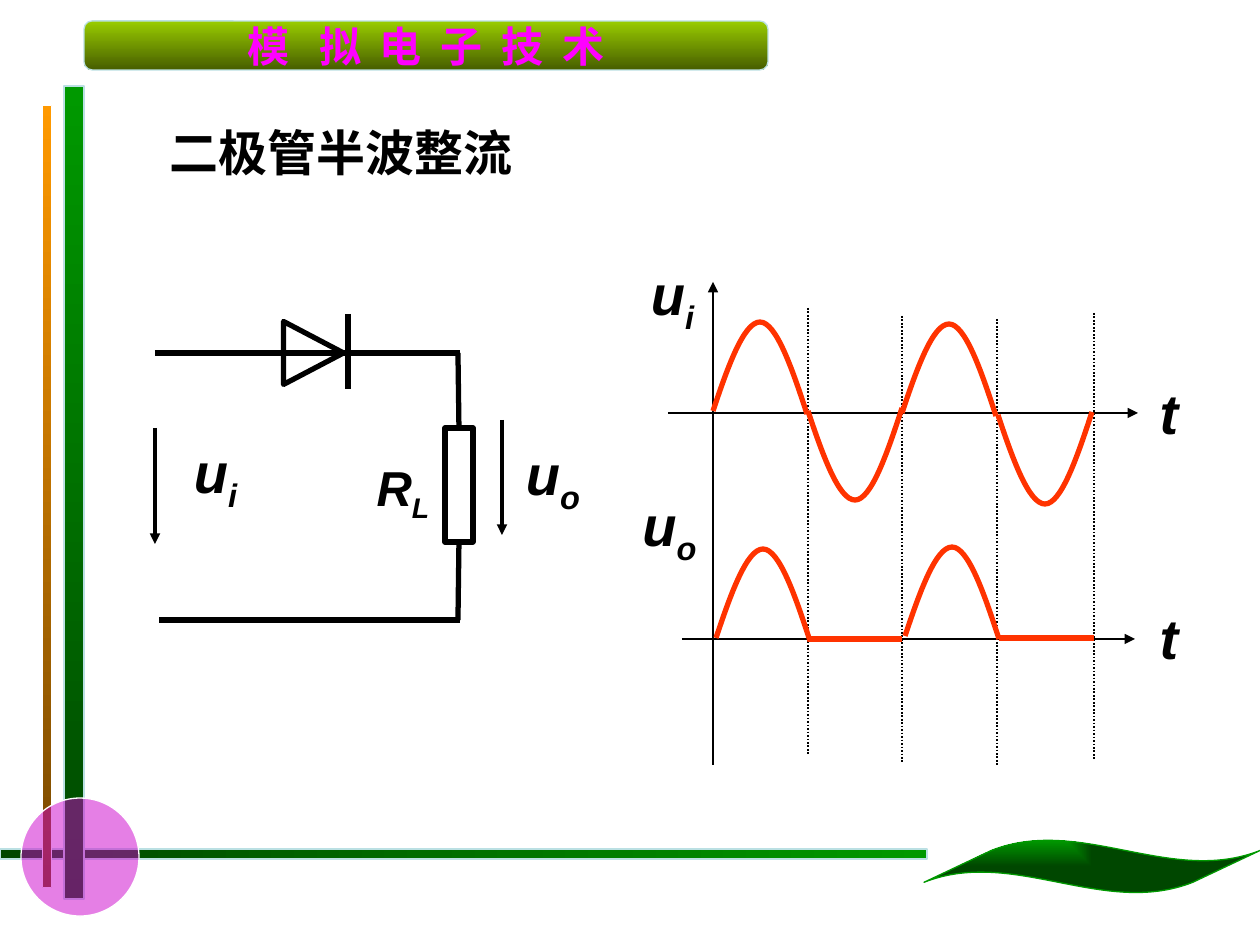
"""Build the slide on half-wave rectification with a diode."""
from dataclasses import dataclass
from typing import Any, Optional

from lxml import etree
from pptx import Presentation
from pptx.dml.color import RGBColor
from pptx.enum.dml import MSO_LINE
from pptx.enum.shapes import MSO_CONNECTOR, MSO_SHAPE
from pptx.enum.text import MSO_ANCHOR, PP_ALIGN
from pptx.oxml.ns import qn
from pptx.util import Emu, Pt

RECT = MSO_SHAPE.RECTANGLE
OVAL = MSO_SHAPE.OVAL
BANNER = MSO_SHAPE.FLOWCHART_ALTERNATE_PROCESS
WAVE = MSO_SHAPE.WAVE
TRIANGLE = MSO_SHAPE.ISOSCELES_TRIANGLE
STRAIGHT = MSO_CONNECTOR.STRAIGHT
DOTTED = MSO_LINE.ROUND_DOT
CENTER = PP_ALIGN.CENTER
MIDDLE = MSO_ANCHOR.MIDDLE

SCALE = 914400 / 126
LATIN, CJK = "Arial", "Noto Sans CJK SC"
COLORS = {
    "black": "000000", "white": "FFFFFF", "pale": "BBE0E3", "curve": "FF3300",
    "green": "009900", "dark_green": "004700", "orange": "FF9900", "brown": "764700",
    "lime": "99CC00", "olive": "475E00", "purple": "CC00CC", "magenta": "FF00FF",
}
HUMP = [(15, -45), (31, -89), (47, -89), (63, -89), (79, -43), (94, 3)]


@dataclass(frozen=True)
class Panel:
    kind: Any
    box: tuple[int, int, int, int]
    line: str
    weight: float = 0.75
    stops: tuple[str, ...] = ()
    angle: int = 0


@dataclass(frozen=True)
class Stroke:
    start: tuple[int, int]
    end: tuple[int, int]
    weight: float = 3
    color: str = "black"
    arrow: bool = False
    dash: Any = None


@dataclass(frozen=True)
class Label:
    box: tuple[int, int, int, int]
    text: str
    sub: str = ""
    size: int = 32
    italic: bool = True


BARS = [
    Panel(RECT, (0, 849, 927, 10), "pale", stops=("dark_green", "green")),
    Panel(RECT, (64, 86, 20, 813), "pale", stops=("green", "dark_green"), angle=270),
    Panel(RECT, (42, 105, 10, 783), "white", 0.5, ("orange", "brown"), 270),
]
DISC = Panel(OVAL, (21, 798, 118, 118), "white", stops=("purple",))
HEADER = Panel(BANNER, (84, 21, 684, 49), "pale", stops=("lime", "olive"), angle=270)
LEAF = Panel(WAVE, (924, 840, 336, 53), "green", stops=("green", "dark_green"))
DIODE = Panel(TRIANGLE, (282, 323, 63, 60), "black", 3)
RESISTOR = Panel(RECT, (445, 428, 28, 114), "black", 3)

WIRES = [
    Stroke((155, 353), (300, 353)),
    Stroke((392, 353), (460, 353)),
    Stroke((348, 314), (348, 389)),
    Stroke((392, 353), (232, 353)),
    Stroke((460, 620), (159, 620)),
]
LEADS = [
    (Stroke((458, 353), (458, 428)), 0),
    (Stroke((458, 620), (458, 542)), 2),
]
ARROWS = [
    Stroke((155, 428), (155, 544), 2, arrow=True),
    Stroke((502, 420), (502, 535), 2, arrow=True),
    Stroke((713, 765), (713, 282), 1.5, arrow=True),
    Stroke((668, 413), (1138, 413), 1.5, arrow=True),
    Stroke((682, 639), (1135, 639), 1.5, arrow=True),
]
GUIDES = [
    Stroke((x, top), (x, top + 446), 1, dash=DOTTED)
    for x, top in [(808, 308), (902, 316), (997, 319), (1094, 313)]
]
FLATS = [
    Stroke((808, 639), (902, 639), color="curve"),
    Stroke((999, 638), (1094, 638), color="curve"),
]
HUMPS = [
    (713, 411, 1), (902, 413, 1), (808, 411, -1), (998, 415, -1),
    (905, 636, 1), (716, 638, 1),
]
LABELS = [
    Label((348, 451, 110, 72), "R", "L", 28),
    Label((159, 431, 113, 79), "u", "i"),
    Label((504, 433, 98, 79), "u", "o"),
    Label((624, 253, 97, 79), "u", "i"),
    Label((626, 484, 87, 79), "u", "o"),
    Label((1140, 372, 58, 79), "t"),
    Label((1140, 597, 58, 79), "t"),
    Label((84, 116, 514, 72), "二极管半波整流", size=28, italic=False),
]
TITLE = [("模", 1700), ("拟电子技", 1080), ("术", 0)]


def px(value: float) -> Emu:
    """Turn px into EMU."""
    return Emu(round(value * SCALE))


def rgb(name: str) -> RGBColor:
    """Look up a named colour."""
    return RGBColor.from_string(COLORS[name])


def set_line(line: Any, color: str, weight: float) -> None:
    """Give a line its colour and width."""
    line.color.rgb = rgb(color)
    line.width = Pt(weight)


def draw_panel(slide: Any, panel: Panel) -> Any:
    """Draw a preset shape with no fill, a solid fill or a gradient."""
    shape = slide.shapes.add_shape(panel.kind, *map(px, panel.box))
    shape.shadow.inherit = False
    set_line(shape.line, panel.line, panel.weight)
    if not panel.stops:
        shape.fill.background()
    elif len(panel.stops) == 1:
        shape.fill.solid()
        shape.fill.fore_color.rgb = rgb(panel.stops[0])
    else:
        shape.fill.gradient()
        shape.fill.gradient_angle = panel.angle
        for stop, color in zip(shape.fill.gradient_stops, panel.stops):
            stop.color.rgb = rgb(color)
    return shape


def draw_stroke(slide: Any, stroke: Stroke, target: Any = None,
                site: Optional[int] = None) -> None:
    """Draw a straight connector, joined to a target where one is given."""
    connector = slide.shapes.add_connector(
        STRAIGHT, *map(px, stroke.start + stroke.end))
    set_line(connector.line, stroke.color, stroke.weight)
    if stroke.dash is not None:
        connector.line.dash_style = stroke.dash
    if stroke.arrow:
        line = connector.line._get_or_add_ln()
        etree.SubElement(line, qn("a:tailEnd"), type="triangle")
    etree.SubElement(connector._element.spPr, qn("a:effectLst"))
    if target is not None:
        connector.end_connect(target, site)


def draw_hump(slide: Any, x: int, y: int, sign: int) -> None:
    """Draw half a period of the wave as two Bezier curves."""
    builder = slide.shapes.build_freeform(x, y, scale=SCALE)
    builder.add_line_segments([(x + dx, y + sign * dy) for dx, dy in HUMP], close=False)
    shape = builder.convert_to_shape()
    shape.shadow.inherit = False
    shape.fill.background()
    set_line(shape.line, "curve", 3)
    outline = next(shape._element.iter(qn("a:path")))
    segments = outline.findall(qn("a:lnTo"))
    for first in range(0, len(segments), 3):
        curve = etree.SubElement(outline, qn("a:cubicBezTo"))
        for segment in segments[first:first + 3]:
            curve.append(segment[0])
            outline.remove(segment)


def add_span(para: Any, text: str, color: str, formats: dict[str, Any]) -> Any:
    """Add a run and return its properties element."""
    span = para.add_run()
    span.text = text
    for name, value in formats.items():
        setattr(span.font, name, value)
    span.font.color.rgb = rgb(color)
    properties = span._r.get_or_add_rPr()
    etree.SubElement(properties, qn("a:ea"), typeface=CJK)
    return properties


def draw_label(slide: Any, label: Label) -> None:
    """Draw a centred bold label with an optional subscript."""
    box = slide.shapes.add_textbox(*map(px, label.box))
    box.text_frame.word_wrap = True
    para = box.text_frame.paragraphs[0]
    para.alignment = CENTER
    before = etree.SubElement(para._p.get_or_add_pPr(), qn("a:spcBef"))
    etree.SubElement(before, qn("a:spcPct"), val="50000")
    formats = {"name": LATIN, "size": Pt(label.size), "bold": True, "italic": label.italic}
    add_span(para, label.text, "black", formats)
    if label.sub:
        add_span(para, label.sub, "black", formats).set("baseline", "-25000")


def draw_frame(slide: Any) -> None:
    """Draw the bars, disc, banner and leaf around the content."""
    for bar in BARS:
        draw_panel(slide, bar)
    disc = draw_panel(slide, DISC)
    fill_color = disc._element.spPr.find(qn("a:solidFill"))[0]
    etree.SubElement(fill_color, qn("a:alpha"), val="50000")
    frame = draw_panel(slide, HEADER).text_frame
    for name, value in {"word_wrap": False, "vertical_anchor": MIDDLE}.items():
        setattr(frame, name, value)
    frame.paragraphs[0].alignment = CENTER
    formats = {"name": CJK, "size": Pt(24), "bold": True}
    for text, spacing in TITLE:
        add_span(frame.paragraphs[0], text, "magenta", formats).set("spc", str(spacing))
    leaf = draw_panel(slide, LEAF)
    leaf.adjustments[0], leaf.adjustments[1] = 0.206, -0.1
    gradient = leaf._element.spPr.find(qn("a:gradFill"))
    shade = etree.Element(qn("a:path"), path="rect")
    etree.SubElement(shade, qn("a:fillToRect"), r="100000", b="100000")
    gradient.replace(gradient.find(qn("a:lin")), shade)


def main() -> None:
    """Build and save the deck."""
    deck = Presentation()
    deck.slide_width, deck.slide_height = px(1260), px(945)
    slide = deck.slides.add_slide(deck.slide_layouts[6])
    draw_frame(slide)
    draw_panel(slide, DIODE).rotation = 90
    resistor = draw_panel(slide, RESISTOR)
    for lead, site in LEADS:
        draw_stroke(slide, lead, resistor, site)
    for stroke in WIRES + ARROWS + GUIDES:
        draw_stroke(slide, stroke)
    for hump in HUMPS:
        draw_hump(slide, *hump)
    for flat in FLATS:
        draw_stroke(slide, flat)
    for label in LABELS:
        draw_label(slide, label)
    deck.save("out.pptx")


if __name__ == "__main__":
    main()
